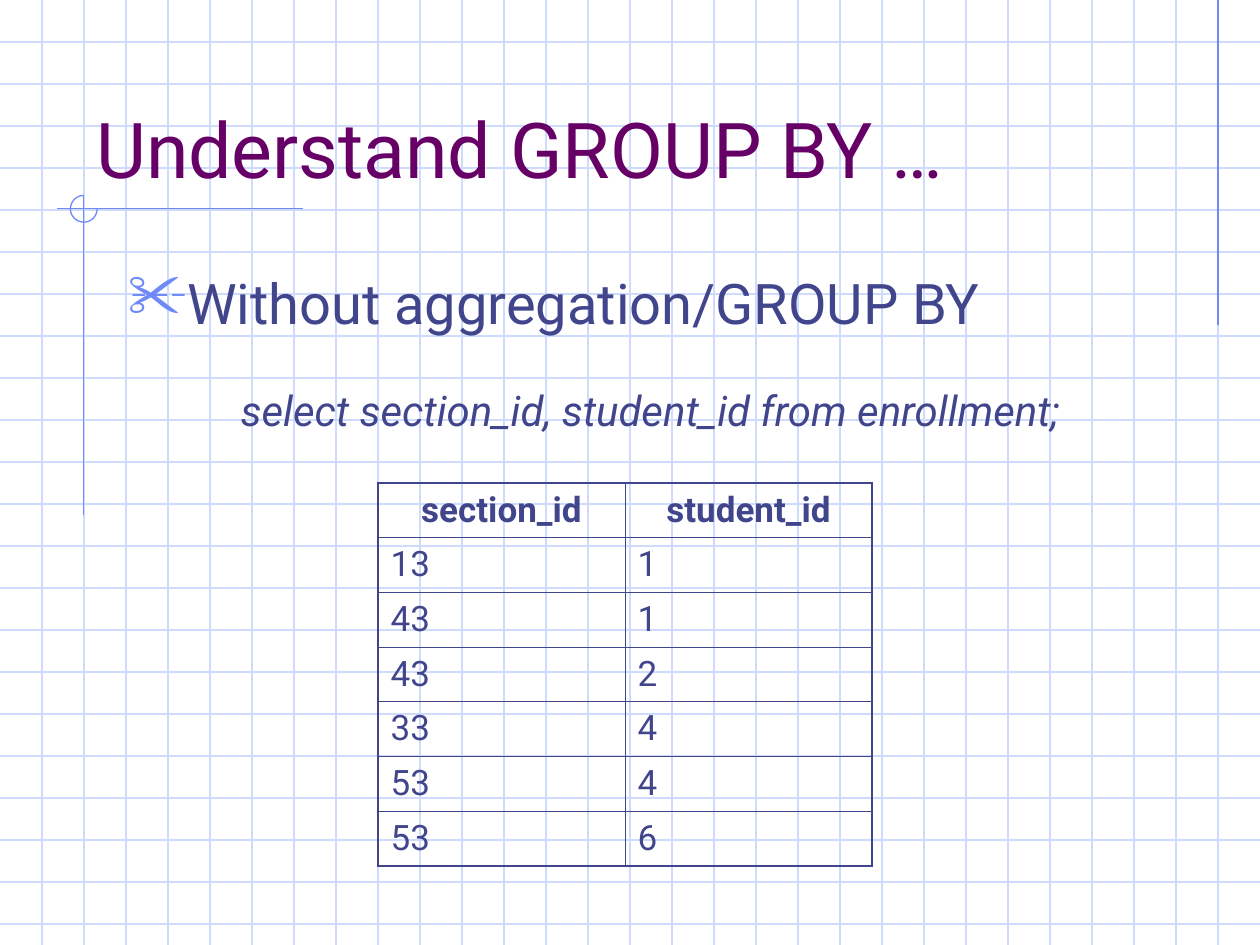
from lxml import etree
from pptx import Presentation
from pptx import util as u
from pptx.dml.color import RGBColor
from pptx.enum import shapes, text
from pptx.oxml import ns

GRID_BLUE = RGBColor(0xCF, 0xDB, 0xFD)
ACCENT_BLUE = RGBColor(0x6F, 0x89, 0xF7)
PLUM = RGBColor(0x66, 0x00, 0x66)
INDIGO = RGBColor(0x40, 0x45, 0x8C)

WIDTH, HEIGHT = 25.4, 19.05
STEP = WIDTH / 30
FONT = "Roboto"
THIN, THICK = u.Pt(0.45), u.Pt(1.08)

TITLE = {"size": u.Pt(44), "color": PLUM}
POINT = {"size": u.Pt(32), "color": INDIGO}
QUERY = {"size": u.Pt(24), "color": INDIGO, "italic": True}
HEADING = {"size": u.Pt(20), "color": INDIGO, "bold": True}
VALUE = {"size": u.Pt(20), "color": INDIGO, "bold": False}

ENROLLMENT = [
    ("section_id", "student_id"),
    ("13", "1"),
    ("43", "1"),
    ("43", "2"),
    ("33", "4"),
    ("53", "4"),
    ("53", "6"),
]


def add_child(parent, tag, **attributes):
    """Append a DrawingML element and return it."""
    return etree.SubElement(parent, ns.qn(tag), attributes)


def write(paragraph, words, style):
    """Add a run of words in the given style."""
    run = paragraph.add_run()
    run.text = words
    run.font.name = FONT
    for key, value in style.items():
        if key == "color":
            run.font.color.rgb = value
        else:
            setattr(run.font, key, value)


def draw_line(slide, x1, y1, x2, y2, color):
    """Draw a thin straight line between two points in centimetres."""
    line = slide.shapes.add_connector(
        shapes.MSO_CONNECTOR.STRAIGHT, *map(u.Cm, (x1, y1, x2, y2)))
    line.line.color.rgb = color
    line.line.width = u.Pt(0.75)
    add_child(line._element.spPr, "a:effectLst")


def draw_grid(slide, left, top, width, height):
    """Rule the box into squares."""
    for row in range(1, int(height / STEP) + 1):
        y = top + row * STEP
        draw_line(slide, left, y, left + width, y, GRID_BLUE)
    for column in range(1, round(width / STEP)):
        x = left + column * STEP
        draw_line(slide, x, top, x, top + height, GRID_BLUE)


def draw_corner_mark(slide, left, top, width, height):
    """Draw the crossed lines with an open circle at the crossing."""
    radius = 0.27
    x, y = left + 0.55, top + radius
    draw_line(slide, left + width, y, left, y, ACCENT_BLUE)
    draw_line(slide, x, top, x, top + height, ACCENT_BLUE)
    circle = slide.shapes.add_shape(
        shapes.MSO_SHAPE.ARC,
        *map(u.Cm, (x - radius, y - radius, 2 * radius, 2 * radius)))
    circle.adjustments[0] = 0
    circle.adjustments[1] = 162
    circle.shadow.inherit = False
    circle.fill.background()
    circle.line.color.rgb = ACCENT_BLUE
    circle.line.width = u.Pt(0.75)


def place_text(slide, left, top, width, height, **frame_format):
    """Add a text box and return its first paragraph."""
    frame = slide.shapes.add_textbox(
        *map(u.Cm, (left, top, width, height))).text_frame
    for key, value in frame_format.items():
        setattr(frame, key, value)
    return frame.paragraphs[0]


def place_title(slide, *box):
    """Write the slide title at the foot of its box."""
    paragraph = place_text(slide, *box, word_wrap=True,
                           vertical_anchor=text.MSO_ANCHOR.BOTTOM)
    write(paragraph, "Understand GROUP BY …", TITLE)


def place_point(slide, *box):
    """Write the main point behind a scissors bullet."""
    paragraph = place_text(slide, *box, word_wrap=True)
    properties = paragraph._p.get_or_add_pPr()
    indent = u.Cm(0.95)
    properties.set("marL", str(indent))
    properties.set("indent", str(-indent))
    color = add_child(properties, "a:buClr")
    add_child(color, "a:srgbClr", val=str(ACCENT_BLUE))
    add_child(properties, "a:buSzPct", val="110000")
    add_child(properties, "a:buChar", char="✂")
    write(paragraph, "Without aggregation/GROUP BY", POINT)


def place_query(slide, *box):
    """Write the query on one line."""
    paragraph = place_text(slide, *box, word_wrap=False,
                           auto_size=text.MSO_AUTO_SIZE.SHAPE_TO_FIT_TEXT)
    write(paragraph, "select section_id, student_id from enrollment;", QUERY)


def border_cell(cell, widths):
    """Draw the left, right, top and bottom borders of a cell."""
    properties = cell._tc.get_or_add_tcPr()
    for side, width in zip("LRTB", widths):
        border = add_child(properties, f"a:ln{side}", w=str(width))
        fill = add_child(border, "a:solidFill")
        add_child(fill, "a:srgbClr", val=str(INDIGO))


def place_enrollment(slide, left, top, width, height):
    """Tabulate the query result with a heavier outer border."""
    rows, columns = len(ENROLLMENT), len(ENROLLMENT[0])
    table = slide.shapes.add_table(
        rows, columns, *map(u.Cm, (left, top, width, height))).table
    for flag in ("first_row", "horz_banding"):
        setattr(table, flag, False)
    for r, record in enumerate(ENROLLMENT):
        for c, entry in enumerate(record):
            cell = table.cell(r, c)
            outer = (c == 0, c == columns - 1, r == 0, r == rows - 1)
            border_cell(cell, [THICK if edge else THIN for edge in outer])
            cell.fill.background()
            paragraph = cell.text_frame.paragraphs[0]
            if r == 0:
                paragraph.alignment = text.PP_ALIGN.CENTER
            write(paragraph, entry, VALUE if r else HEADING)


def main():
    """Build the slide and save it."""
    deck = Presentation()
    deck.slide_width, deck.slide_height = u.Cm(WIDTH), u.Cm(HEIGHT)
    slide = deck.slides.add_slide(deck.slide_layouts[6])
    draw_grid(slide, 0, 0, WIDTH, HEIGHT)
    draw_line(slide, WIDTH - STEP, 0, WIDTH - STEP, 6.56, ACCENT_BLUE)
    draw_corner_mark(slide, 1.14, 3.94, 4.96, 6.45)
    place_title(slide, 1.69, 0.85, 21.59, 3.18)
    place_point(slide, 2.33, 5.29, 21.59, 1.91)
    place_query(slide, 4.6, 7.62, 17.37, 1.27)
    place_enrollment(slide, 7.62, 9.74, 9.96, 7.7)
    deck.save("out.pptx")


if __name__ == "__main__":
    main()
